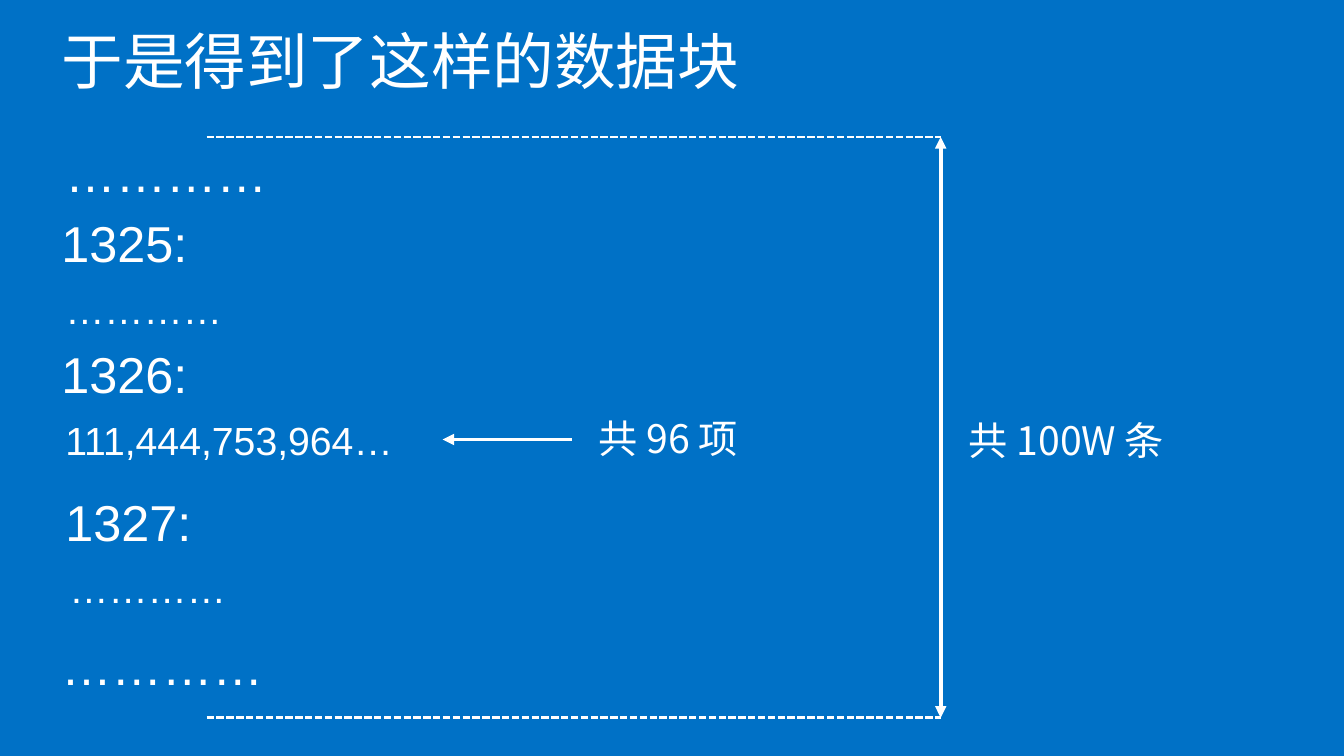
import pptx
import pptx.util
import pptx.dml.color
import pptx.enum.dml
import pptx.enum.shapes
import pptx.enum.text
import pptx.oxml
import pptx.oxml.ns

Inches = pptx.util.Inches
COLORS = {"background": "0071C6", "white": "FFFFFF"}
WHITE = pptx.dml.color.RGBColor.from_string(COLORS["white"])
LATIN, CJK = "Arial", "Noto Sans CJK SC"

prs = pptx.Presentation()
prs.slide_width, prs.slide_height = Inches(13.33), Inches(7.5)
s = prs.slides.add_slide(prs.slide_layouts[5])
s.background.fill.solid()
s.background.fill.fore_color.rgb = pptx.dml.color.RGBColor.from_string(COLORS["background"])


def write(text, left, top, width, height, size=36, font=LATIN, sp=None):
    if sp is None:
        sp = s.shapes.add_textbox(0, 0, 0, 0)
        sp.text_frame.auto_size = pptx.enum.text.MSO_AUTO_SIZE.SHAPE_TO_FIT_TEXT
    sp.left, sp.top, sp.width, sp.height = map(Inches, (left, top, width, height))
    tf = sp.text_frame
    tf.word_wrap = True
    p = tf.paragraphs[0]
    p.alignment = pptx.enum.text.PP_ALIGN.LEFT
    r = p.add_run()
    r.text = text
    r.font.size = pptx.util.Pt(size)
    r.font.name = font
    r.font.color.rgb = WHITE
    ea = pptx.oxml.parse_xml(f'<a:ea {pptx.oxml.ns.nsdecls("a")} typeface="{font}"/>')
    r.font._element.append(ea)
    return tf


def draw_line(x1, y1, x2, y2, weight=2.75, dash=None, arrows=()):
    line = s.shapes.add_connector(
        pptx.enum.shapes.MSO_CONNECTOR.STRAIGHT, *map(Inches, (x1, y1, x2, y2)))
    line.line.color.rgb = WHITE
    line.line.width = pptx.util.Pt(weight)
    if dash:
        line.line.dash_style = dash
    ns = pptx.oxml.ns.nsdecls("a")
    for end in arrows:
        line.line._get_or_add_ln().append(pptx.oxml.parse_xml(f'<a:{end} {ns} type="triangle"/>'))
    line._element.spPr.append(pptx.oxml.parse_xml(f"<a:effectLst {ns}/>"))


tf = write("于是得到了这样的数据块", 0.51, 0.31, 13, 1, size=44, font=CJK, sp=s.shapes.title)
tf.vertical_anchor = pptx.enum.text.MSO_ANCHOR.TOP
tf.margin_top = 0
tf.paragraphs[0].line_spacing = 0.9

dots = "…………"
for text, left, top in [
    (dots, 0.55, 1.36),
    ("1325:", 0.51, 2.05),
    ("1326:", 0.51, 3.35),
    ("1327:", 0.55, 4.82),
    (dots, 0.51, 6.25),
]:
    write(text, left, top, 3.3, 0.71)

for text, left, top in [
    (dots, 0.55, 2.78),
    ("111,444,753,964…", 0.55, 4.08),
    (dots, 0.59, 5.55),
]:
    write(text, left, top, 3.84, 0.57, size=28)

write("共 96 项", 5.84, 4.06, 1.85, 0.57, size=28, font=CJK)
write("共 100W 条", 9.51, 4.08, 2.76, 0.57, size=28, font=CJK)

block_left, block_right, block_top, block_bottom = 2.05, 9.33, 1.36, 7.12
draw_line(5.67, 4.36, 4.39, 4.36, arrows=["tailEnd"])
draw_line(block_right, block_top, block_right, block_bottom, arrows=["headEnd", "tailEnd"])
for y in (block_top, block_bottom):
    draw_line(block_left, y, block_right, y, weight=1.75,
              dash=pptx.enum.dml.MSO_LINE.SQUARE_DOT)

prs.save("out.pptx")
